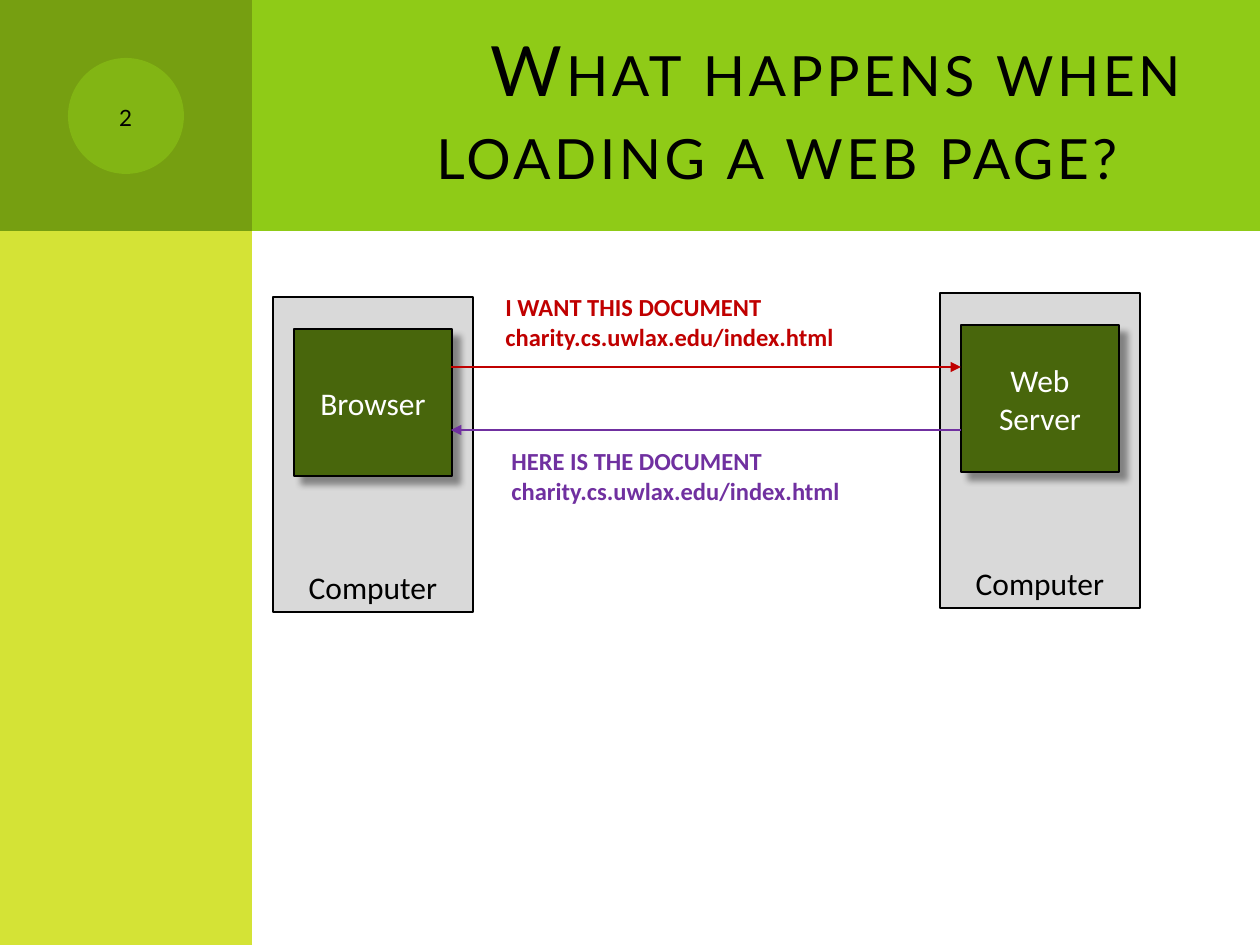
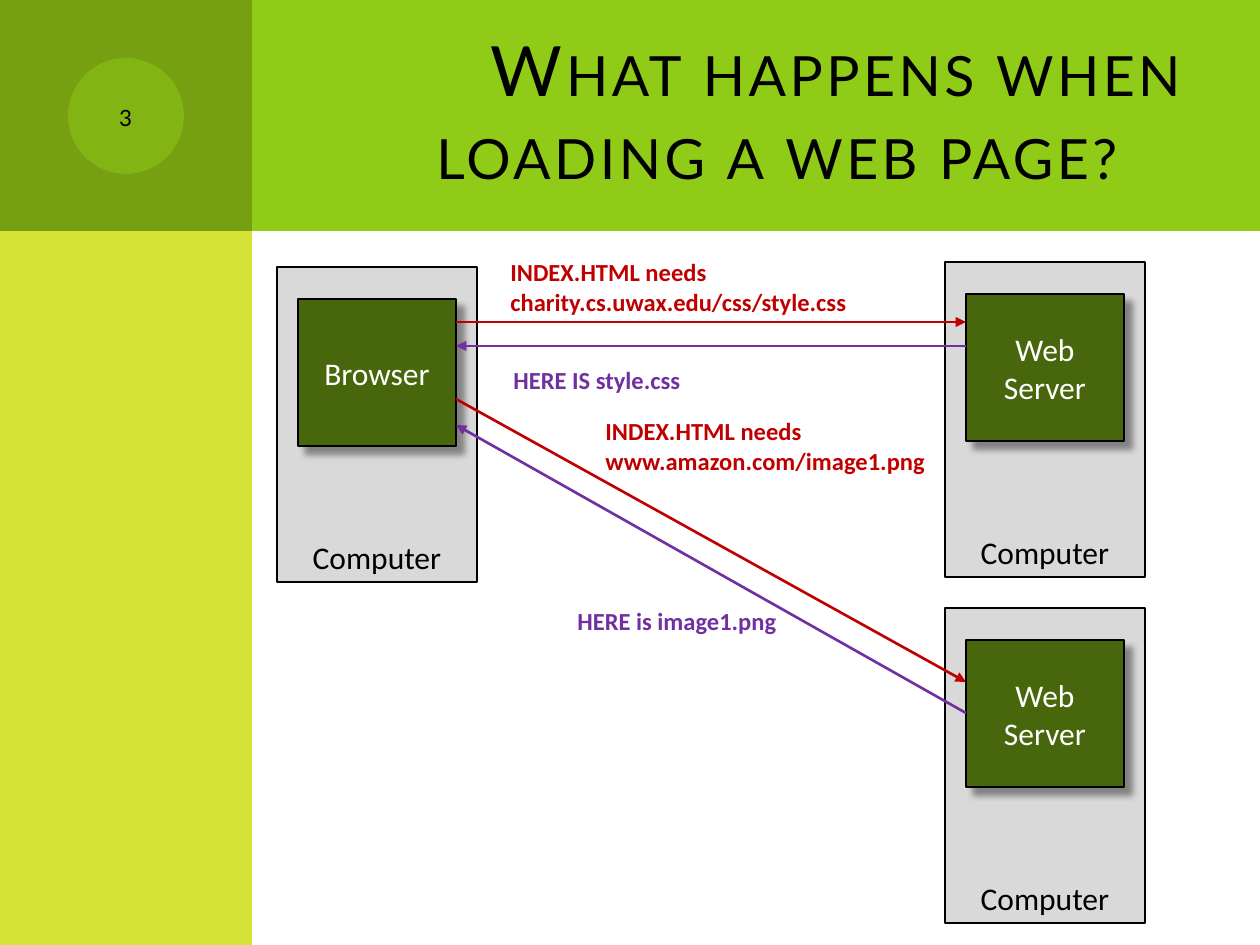
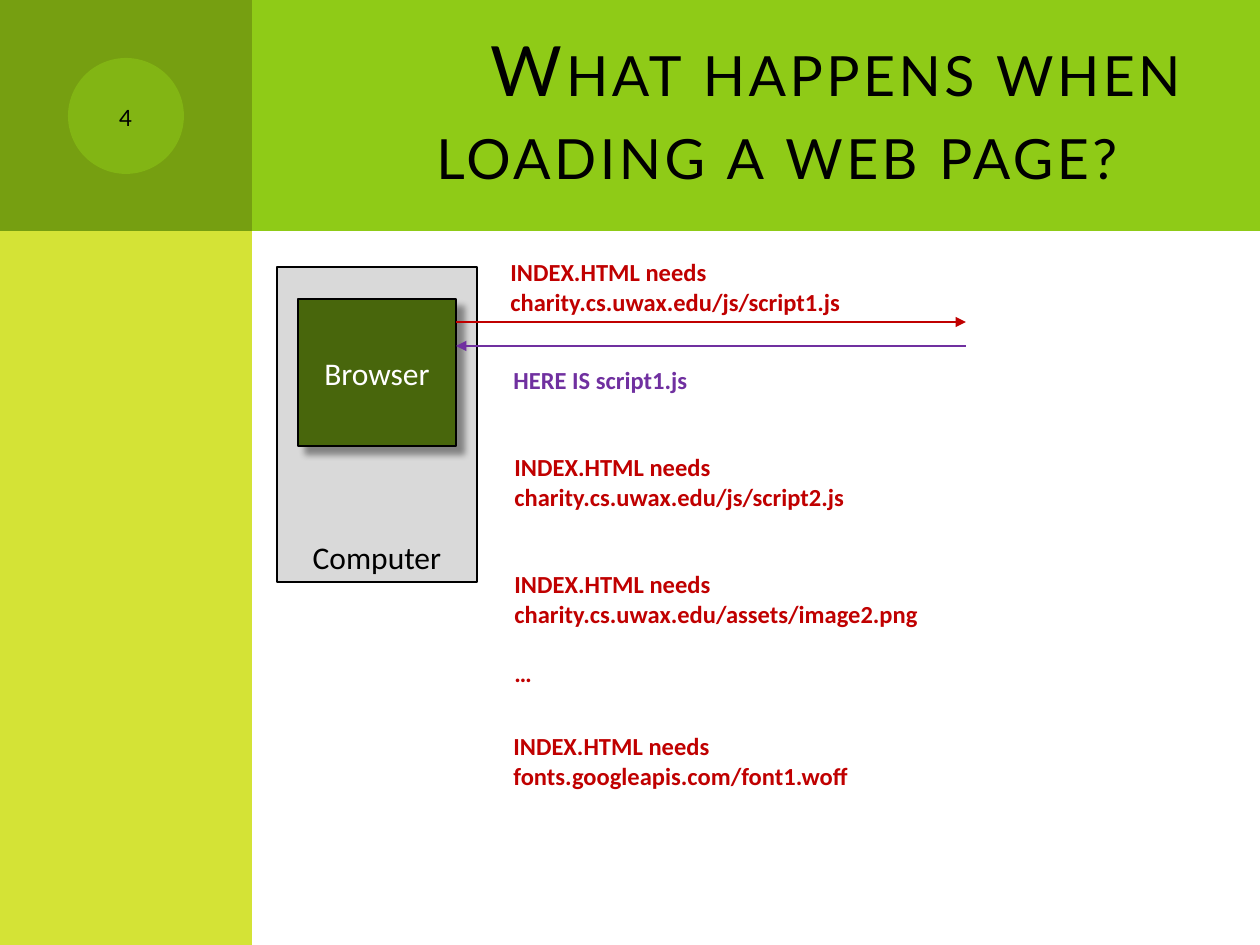
from dataclasses import dataclass

from lxml import etree
from pptx import Presentation
from pptx import util as u
from pptx.dml.color import RGBColor
from pptx.enum import shapes, text
from pptx.oxml import ns


@dataclass(frozen=True)
class Theme:
    band: str = "8FCB17"
    side: str = "D4E336"
    corner: str = "769F11"
    case: str = "D9D9D9"
    app: str = "48660C"
    ink: str = "000000"
    white: str = "FFFFFF"
    ask: str = "C00000"
    reply: str = "7030A0"
    head: str = "Lato"
    body: str = "Calibri"
    title: float = 39.6
    number: int = 16
    box: int = 18
    note: int = 14


T = Theme()
PX = u.Inches(10) / 1260
TITLE = "What happens when loading a web page?"
LEFT, MID, RIGHT = text.PP_ALIGN.LEFT, text.PP_ALIGN.CENTER, text.PP_ALIGN.RIGHT
MIDDLE, BOTTOM = text.MSO_ANCHOR.MIDDLE, text.MSO_ANCHOR.BOTTOM
RECT, OVAL = shapes.MSO_SHAPE.RECTANGLE, shapes.MSO_SHAPE.OVAL


def write(frame, words, size, color, font=T.body, align=MID, anchor=MIDDLE):
    """Fill a text frame and format every run."""
    frame.text = words
    frame.vertical_anchor = anchor
    for para in frame.paragraphs:
        para.alignment = align
        for run in para.runs:
            run.font.size = u.Pt(size)
            run.font.name = font
            run.font.color.rgb = RGBColor.from_string(color)
            if font == T.head:
                run.font._element.set("cap", "small")


def block(slide, kind, area, fill, edge=None):
    """Add a flat filled shape, outlined when an edge colour is given."""
    shape = slide.shapes.add_shape(kind, *[int(n * PX) for n in area])
    shape.shadow.inherit = False
    shape.fill.solid()
    shape.fill.fore_color.rgb = RGBColor.from_string(fill)
    if edge:
        shape.line.color.rgb = RGBColor.from_string(edge)
        shape.line.width = u.Pt(1)
    else:
        shape.line.fill.background()
    return shape


# What each slide shows:
# machines: x, y, program
# links: colour, from x, y, to x, y
# notes: colour, x, y, width, words
pages = [
    dict(
        machines=[(273, 297, "Browser"), (940, 293, "Web Server")],
        links=[(T.ask, 451, 367, 961, 367), (T.reply, 961, 430, 451, 430)],
        notes=[
            (T.ask, 493, 286, 363, "I WANT THIS DOCUMENT\ncharity.cs.uwlax.edu/index.html"),
            (T.reply, 499, 440, 357, "HERE IS THE DOCUMENT\ncharity.cs.uwlax.edu/index.html"),
        ],
    ),
    dict(
        machines=[(277, 267, "Browser"), (945, 262, "Web Server"), (945, 608, "Web Server")],
        links=[
            (T.ask, 456, 322, 966, 322),
            (T.reply, 966, 346, 456, 346),
            (T.ask, 456, 399, 966, 682),
            (T.reply, 966, 713, 456, 425),
        ],
        notes=[
            (T.ask, 498, 251, 364, "INDEX.HTML needs\ncharity.cs.uwax.edu/css/style.css"),
            (T.reply, 501, 359, 194, "HERE IS style.css"),
            (T.ask, 593, 410, 347, "INDEX.HTML needs\nwww.amazon.com/image1.png"),
            (T.reply, 565, 600, 224, "HERE is image1.png"),
        ],
    ),
    dict(
        machines=[(277, 267, "Browser")],
        links=[(T.ask, 456, 322, 966, 322), (T.reply, 966, 346, 456, 346)],
        notes=[
            (T.ask, 498, 251, 358, "INDEX.HTML needs\ncharity.cs.uwax.edu/js/script1.js"),
            (T.reply, 501, 359, 202, "HERE IS script1.js"),
            (T.ask, 502, 446, 358, "INDEX.HTML needs\ncharity.cs.uwax.edu/js/script2.js"),
            (T.ask, 502, 563, 432, "INDEX.HTML needs\ncharity.cs.uwax.edu/assets/image2.png\n…"),
            (T.ask, 501, 725, 368, "INDEX.HTML needs\nfonts.googleapis.com/font1.woff"),
        ],
    ),
]

deck = Presentation()
deck.slide_width, deck.slide_height = int(1260 * PX), int(945 * PX)
layout = deck.slide_layouts[5]
slides = [deck.slides.add_slide(layout) for _ in pages]

# Shared bands: made on the first slide, then moved behind the layout
bands = [
    block(slides[0], RECT, (63, 0, 1197, 231), T.band),
    block(slides[0], RECT, (0, 0, 252, 945), T.side),
    block(slides[0], RECT, (0, 0, 252, 231), T.corner),
    block(slides[0], OVAL, (68, 58, 116, 116), T.band),
]
tint = bands[-1].element.spPr.find(ns.qn("a:solidFill"))[0]
etree.SubElement(tint, ns.qn("a:alpha"), val="50000")
for spot, band in enumerate(bands, 2):
    layout.shapes.element.insert(spot, band.element)

for number, (slide, page) in enumerate(zip(slides, pages), 2):
    # Title
    title = slide.shapes.title
    title.left, title.top, title.width, title.height = [int(n * PX) for n in (336, 32, 861, 157)]
    write(title.text_frame, TITLE, T.title, T.ink, T.head, RIGHT)
    title.text_frame.auto_size = text.MSO_AUTO_SIZE.NONE
    title.text_frame.paragraphs[0].runs[0].font._element.set("spc", "200")

    # Slide number
    badge = slide.shapes.add_textbox(*[int(n * PX) for n in (73, 73, 105, 84)])
    badge.text_frame.word_wrap = True
    write(badge.text_frame, str(number), T.number, T.ink, T.head)

    # Computers, each with its program and the program's shadow
    for x, y, name in page["machines"]:
        case = block(slide, RECT, (x, y, 200, 315), T.case, T.ink)
        write(case.text_frame, "Computer", T.box, T.ink, anchor=BOTTOM)
        app = block(slide, RECT, (x + 21, y + 32, 158, 147), T.app, T.ink)
        write(app.text_frame, name, T.box, T.white)
        glow = etree.SubElement(
            app.element.spPr.find(ns.qn("a:effectLst")), ns.qn("a:outerShdw"),
            blurRad=str(u.Pt(4)), dist=str(u.Pt(6)), dir="2700000", algn="tl", rotWithShape="0")
        shade = etree.SubElement(glow, ns.qn("a:srgbClr"), val=T.ink)
        etree.SubElement(shade, ns.qn("a:alpha"), val="40000")

    # Requests and replies
    for color, *ends in page["links"]:
        link = slide.shapes.add_connector(
            shapes.MSO_CONNECTOR.STRAIGHT, *[int(n * PX) for n in ends])
        link.line.color.rgb = RGBColor.from_string(color)
        link.line.width = u.Pt(1.5)
        etree.SubElement(link.line._get_or_add_ln(), ns.qn("a:tailEnd"), type="triangle")
        etree.SubElement(link.element.spPr, ns.qn("a:effectLst"))

    # Messages
    for color, x, y, width, words in page["notes"]:
        high = 43 + 29 * words.count("\n")
        note = slide.shapes.add_textbox(*[int(n * PX) for n in (x, y, width, high)])
        frame = note.text_frame
        frame.word_wrap = False
        frame.auto_size = text.MSO_AUTO_SIZE.SHAPE_TO_FIT_TEXT
        write(frame, words, T.note, color, align=LEFT, anchor=text.MSO_ANCHOR.TOP)
        for para in frame.paragraphs:
            para.runs[0].font.bold = True
            if para.text == "…":
                para.space_before = u.Pt(17)

deck.save("out.pptx")
